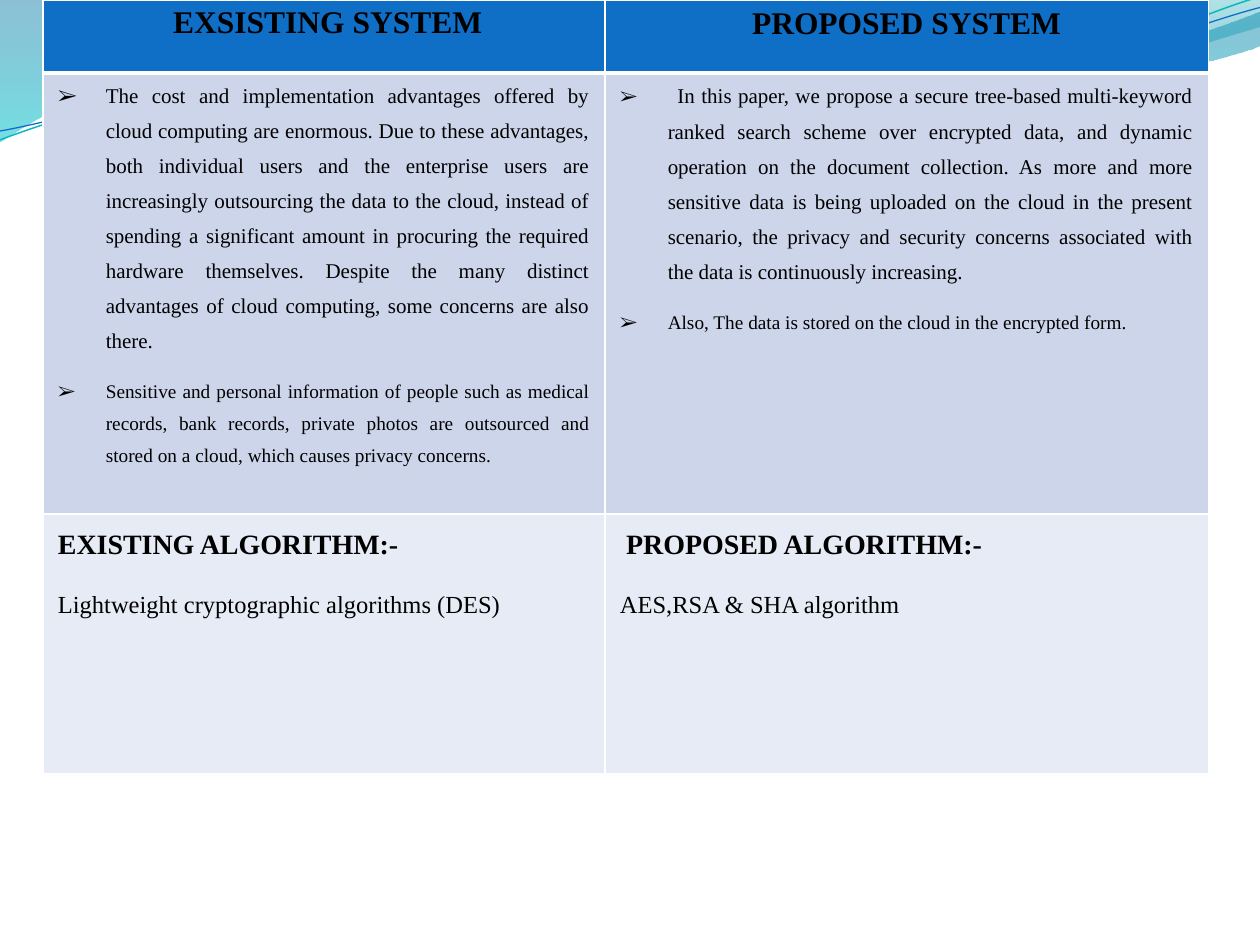
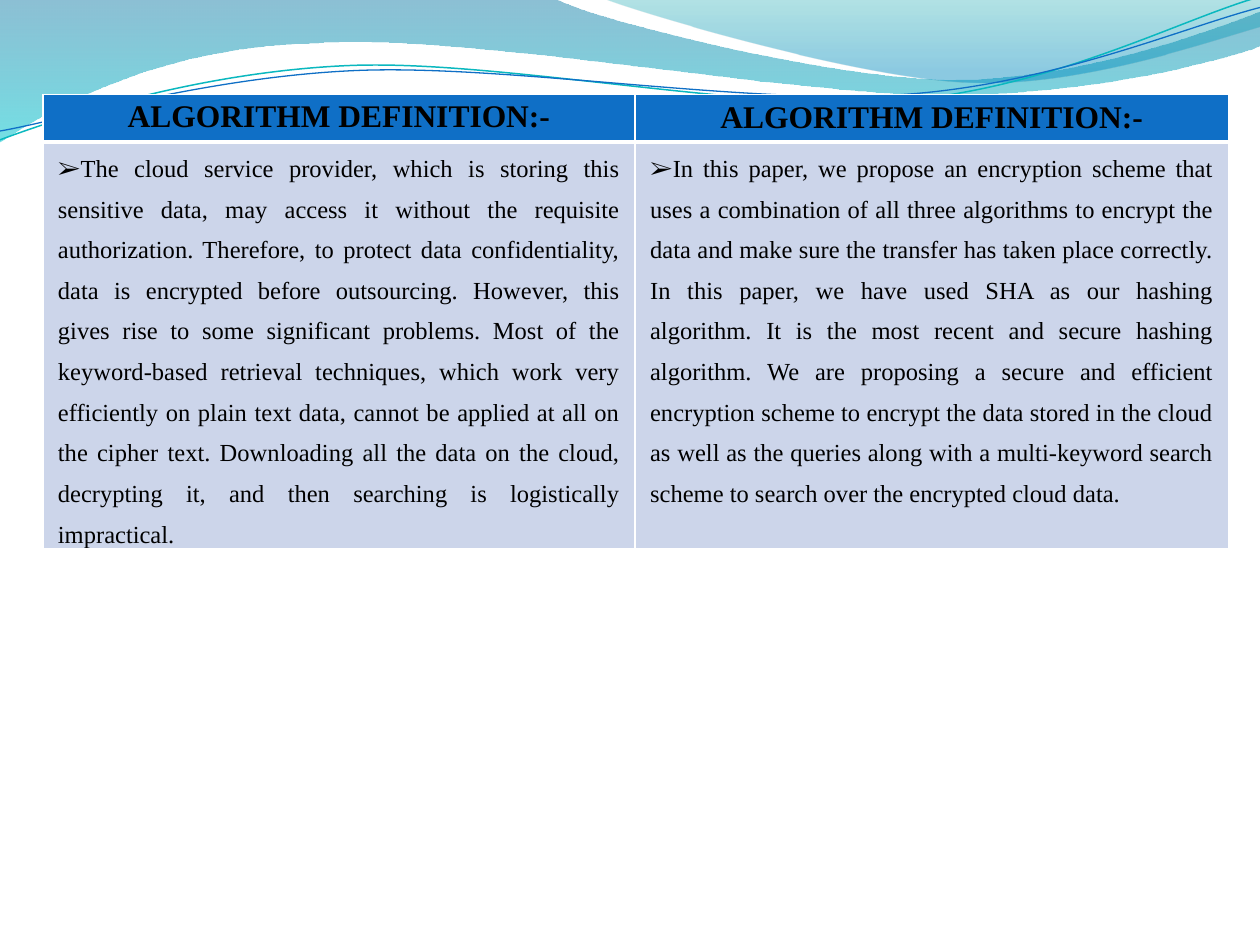
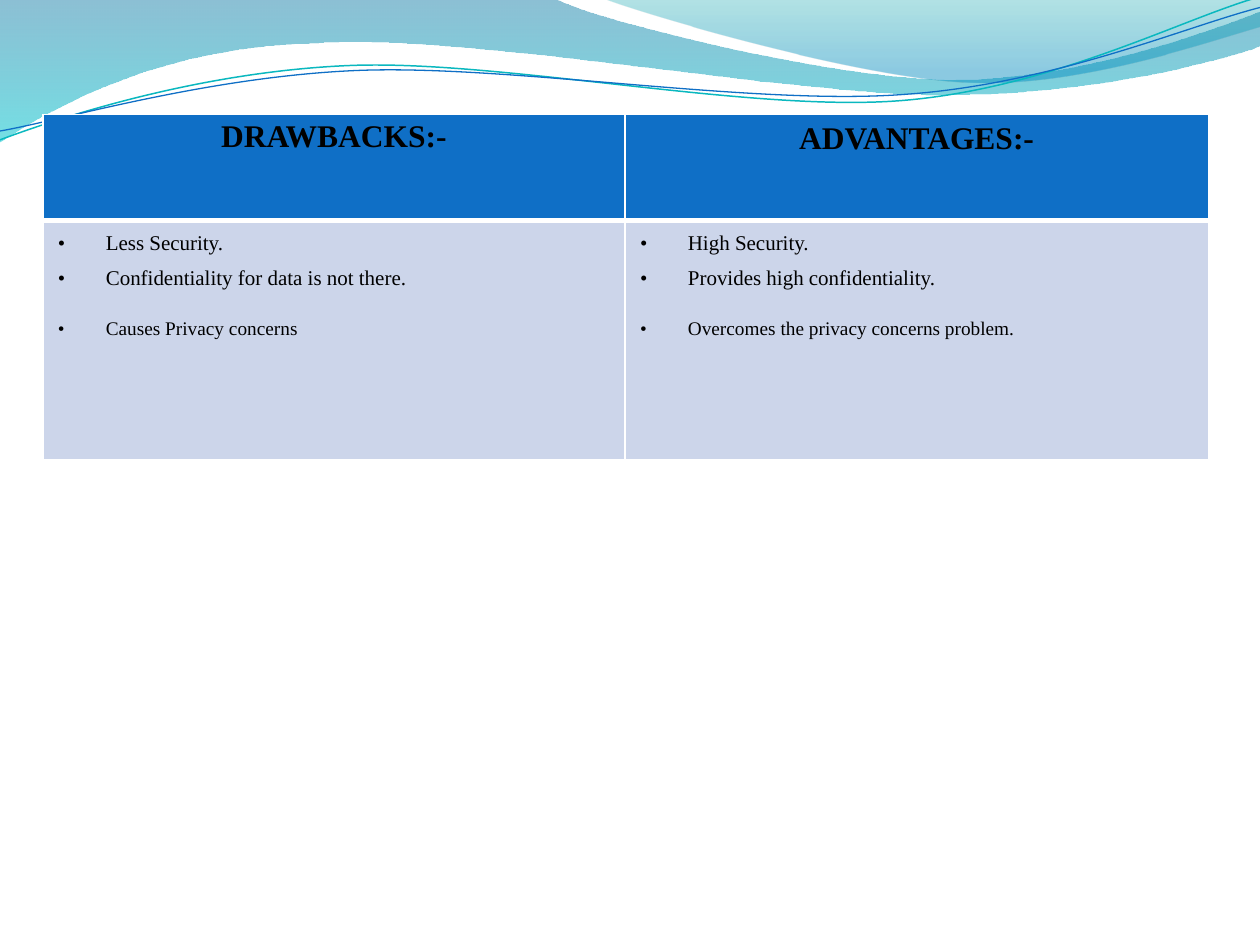
"""Build three slides that compare an existing and a proposed cloud search system."""
import math
from dataclasses import dataclass, field

from pptx import Presentation
from pptx import util as u
from pptx.dml import color as c
from pptx.enum import text as t
from pptx.oxml import ns, xmlchemy as x


@dataclass(frozen=True)
class Theme:
    """Colours, fonts and sizes that all slides share."""
    font: str = "Times New Roman"
    lead_font: str = "Calibri"
    ink: str = "000000"
    border: str = "FFFFFF"
    header: str = "0F6FC6"
    rows: tuple = ("0F6FC6", "CCD5EA", "E7EBF5")
    wave_line: str = "0AB8BF"
    wave_low: tuple = ((0, "0074A1", 45), (1, "00C6CF", 55))
    wave_high: tuple = ((0, "00A1A9", 30), (0.8, "008BBF", 45))
    sizes: dict = field(default_factory=lambda: {
        "header": 18, "heading": 16, "large": 14, "body": 12, "small": 11})
    thin: int = 1
    thick: int = 3


THEME = Theme()
LEFT, CENTER, JUSTIFY = t.PP_ALIGN.LEFT, t.PP_ALIGN.CENTER, t.PP_ALIGN.JUSTIFY
ARROW, DOT = "\u27a2", "\u2022"
HANGING = (0.38, -0.38)
TILT = -2.7

LOW_WAVE = ((0, 0), [
    ((4.4, -0.01),),
    ((4.76, 0.17), (6.64, 0.63), (7.58, 0.63)),
    ((8.53, 0.63), (9.58, 0.26), (10, 0.09)),
    ((10.01, 0.36),),
    ((9.83, 0.44), (8.7, 0.76), (7.46, 0.75)),
    ((6.22, 0.75), (3.82, 0.28), (2.57, 0.34)),
    ((1.29, 0.36), (0.46, 0.83), (-0.01, 1.13))])
HIGH_WAVE = ((4.79, -0.01), [
    ((5.09, 0.11), (6.82, 0.62), (7.69, 0.65)),
    ((8.56, 0.69), (9.61, 0.32), (10, 0.21)),
    ((10, 0),)])
TEAL_LINE = ((0, 1.11), [
    ((0.48, 0.93), (1.58, 0.57), (2.77, 0.52)),
    ((3.95, 0.47), (5.93, 0.89), (7.13, 0.8)),
    ((8.33, 0.71), (9.38, 0.15), (9.98, -0.02))])
BLUE_LINE = ((0, 1.04), [
    ((0.47, 0.96), (1.64, 0.61), (2.83, 0.56)),
    ((4.03, 0.51), (5.97, 0.84), (7.17, 0.75)),
    ((8.36, 0.67), (9.41, 0.21), (10, 0.06))])


def apply(target, values):
    """Set each attribute of the target from a dict of format values."""
    for name, value in values.items():
        setattr(target, name, value)


def rgb(value):
    """Return a colour object for a hexadecimal string."""
    return c.RGBColor.from_string(value)


def add_child(parent, tag, **attributes):
    """Append a drawing element with attributes and return it."""
    child = x.OxmlElement(tag)
    for name, value in attributes.items():
        child.set(name, str(value))
    parent.append(child)
    return child


def turn(node, pivot, degrees):
    """Turn a point clockwise around a pivot."""
    angle = math.radians(degrees)
    across, down = node[0] - pivot[0], node[1] - pivot[1]
    return (pivot[0] + across * math.cos(angle) - down * math.sin(angle),
            pivot[1] + across * math.sin(angle) + down * math.cos(angle))


def bend(shape, segments):
    """Turn each group of three straight steps into one cubic curve."""
    steps = iter(list(shape.element.iter(ns.qn("a:lnTo"))))
    for segment in segments:
        group = [next(steps) for _ in segment]
        if len(group) == 3:
            curve = x.OxmlElement("a:cubicBezTo")
            group[0].addprevious(curve)
            for step in group:
                curve.append(step[0])
                step.getparent().remove(step)


def add_outline(slide, outline, close):
    """Add a curved freeform without a shadow."""
    start, segments = outline
    nodes = [node for segment in segments for node in segment]
    builder = slide.shapes.build_freeform(*(u.Inches(value) for value in start))
    builder.add_line_segments(
        [(u.Inches(across), u.Inches(down)) for across, down in nodes], close=close)
    shape = builder.convert_to_shape()
    bend(shape, segments)
    shape.shadow.inherit = False
    return shape


def add_wave(slide, outline, stops):
    """Add a wave with a transparent downward gradient."""
    shape = add_outline(slide, outline, True)
    shape.line.fill.background()
    shape.fill.gradient()
    shape.fill.gradient_angle = 270
    for stop, (position, colour, _) in zip(shape.fill.gradient_stops, stops):
        stop.position = position
        stop.color.rgb = rgb(colour)
    colours = shape.element.spPr.iter(ns.qn("a:srgbClr"))
    for element, (_, _, opacity) in zip(list(colours), stops):
        add_child(element, "a:alpha", val=opacity * 1000)
    return shape


def add_wave_line(slide, outline, pivot, colour, width):
    """Add an open curve in a tilted frame."""
    start, segments = outline
    level = [tuple(turn(node, pivot, -TILT) for node in segment) for segment in segments]
    shape = add_outline(slide, (turn(start, pivot, -TILT), level), False)
    shape.rotation = TILT
    shape.fill.background()
    shape.line.color.rgb = rgb(colour)
    shape.line.width = u.Pt(width)
    return shape


def decorate_master(presentation, slide):
    """Draw the waves and move them to the master that all slides share."""
    waves = [
        add_wave(slide, LOW_WAVE, THEME.wave_low),
        add_wave(slide, HIGH_WAVE, THEME.wave_high),
        add_wave_line(slide, TEAL_LINE, (4.99, 0.58), THEME.wave_line, 0.85),
        add_wave_line(slide, BLUE_LINE, (5, 0.59), THEME.header, 0.75)]
    for wave in waves:
        presentation.slide_master.shapes.element.append(wave.element)


def text(content, size="body", bold=False, bullet=None, indent=(0, 0),
         alignment=JUSTIFY, line_spacing=1.5, after=10, lead=None):
    """Describe one paragraph of a cell."""
    return {
        "content": content, "bullet": bullet, "indent": indent, "lead": lead,
        "font": {"name": THEME.font, "size": u.Pt(THEME.sizes[size]), "bold": bold},
        "layout": {"alignment": alignment, "line_spacing": line_spacing,
                   "space_after": u.Pt(after)}}


def header(content, line_spacing=1.15, after=10):
    """Describe a header paragraph."""
    return text(content, "header", True, alignment=CENTER,
                line_spacing=line_spacing, after=after)


def headers(first, second):
    """Describe the two header cells of a table."""
    return [[header(first)], [header(second, 1.0, 0)]]


def point(content, size="body", bullet=ARROW, after=10, lead=None):
    """Describe a hanging bullet point."""
    return text(content, size, bullet=bullet, indent=HANGING, after=after, lead=lead)


def dots(first, second, third):
    """Describe a cell of three dotted points."""
    return [point(first, bullet=DOT, after=0), point(second, bullet=DOT),
            point(third, "small", DOT)]


def add_run(paragraph, content, font):
    """Add a run of formatted text."""
    run = paragraph.add_run()
    run.text = content
    run.font.color.rgb = rgb(THEME.ink)
    apply(run.font, font)


def write_paragraph(paragraph, description):
    """Fill and format one paragraph."""
    if description["lead"]:
        add_run(paragraph, description["lead"], {
            "name": THEME.lead_font, "size": u.Pt(THEME.sizes["small"]), "bold": False})
    add_run(paragraph, description["content"], description["font"])
    apply(paragraph, description["layout"])
    properties = paragraph._p.get_or_add_pPr()
    for name, value in zip(("marL", "indent"), description["indent"]):
        properties.set(name, str(u.Inches(value)))
    if description["bullet"]:
        add_child(properties, "a:buFont", typeface=THEME.font)
        add_child(properties, "a:buChar", char=description["bullet"])


def add_borders(cell, row):
    """Give a cell white borders, thick between header and body."""
    edges = {"L": THEME.thin, "R": THEME.thin,
             "T": THEME.thick if row == 1 else THEME.thin,
             "B": THEME.thick if row == 0 else THEME.thin}
    properties = cell._tc.get_or_add_tcPr()
    for side, width in edges.items():
        line = add_child(properties, f"a:ln{side}", w=u.Pt(width))
        add_child(add_child(line, "a:solidFill"), "a:srgbClr", val=THEME.border)


def fill_cell(cell, row, column, paragraphs):
    """Format a cell and write its paragraphs."""
    add_borders(cell, row)
    cell.fill.solid()
    cell.fill.fore_color.rgb = rgb(THEME.rows[row])
    side, edge = (0.1, 0.05) if (row, column) == (0, 1) else (0.12, 0)
    apply(cell, {"margin_left": u.Inches(side), "margin_right": u.Inches(side),
                 "margin_top": u.Inches(edge), "margin_bottom": u.Inches(edge),
                 "vertical_anchor": t.MSO_ANCHOR.TOP})
    frame = cell.text_frame
    for index, description in enumerate(paragraphs):
        paragraph = frame.add_paragraph() if index else frame.paragraphs[0]
        write_paragraph(paragraph, description)


def add_comparison(slide, top, widths, heights, cells):
    """Add a two-column comparison table."""
    shape = slide.shapes.add_table(
        len(heights), len(widths), u.Inches(0.34), u.Inches(top),
        u.Inches(sum(widths)), u.Inches(sum(heights)))
    table = shape.table
    table.horz_banding = False
    for column, width in zip(table.columns, widths):
        column.width = u.Inches(width)
    for row, height in zip(table.rows, heights):
        row.height = u.Inches(height)
    for row, contents in enumerate(cells):
        for column, paragraphs in enumerate(contents):
            fill_cell(table.cell(row, column), row, column, paragraphs)


def build_systems(slide):
    """Compare the two systems and their algorithms."""
    existing = [
        point("The cost and implementation advantages offered by cloud computing are enormous. "
              "Due to these advantages, both individual users and the enterprise users are "
              "increasingly outsourcing the data to the cloud, instead of spending a significant "
              "amount in procuring the required hardware themselves. Despite the many distinct "
              "advantages of cloud computing, some concerns are also there."),
        point("Sensitive and personal information of people such as medical records, bank "
              "records, private photos are outsourced and stored on a cloud, which causes "
              "privacy concerns.", "small")]
    proposed = [
        point("In this paper, we propose a secure tree-based multi-keyword ranked search scheme "
              "over encrypted data, and dynamic operation on the document collection. As more "
              "and more sensitive data is being uploaded on the cloud in the present scenario, "
              "the privacy and security concerns associated with the data is continuously "
              "increasing.", lead="\u2002"),
        point("Also, The data is stored on the cloud in the encrypted form.", "small")]
    algorithms = [
        [text("EXISTING ALGORITHM:-", "heading", True),
         text("Lightweight cryptographic algorithms (DES)", "large")],
        [text("PROPOSED ALGORITHM:-", "heading", True, indent=(0.05, 0)),
         text("AES,RSA & SHA algorithm", "large", alignment=LEFT)]]
    add_comparison(slide, 0, (4.46, 4.79), (0.58, 3.5, 2.06), [
        headers("\u00a0EXSISTING SYSTEM", "PROPOSED SYSTEM"), [existing, proposed], algorithms])


def build_definitions(slide):
    """Define the two algorithms."""
    existing = (
        "The cloud service provider, which is storing this sensitive data, may access it without "
        "the requisite authorization. Therefore, to protect data confidentiality, data is "
        "encrypted before outsourcing. However, this gives rise to some significant problems. "
        "Most of the keyword-based retrieval techniques, which work very efficiently on plain "
        "text data, cannot be applied at all on the cipher text. Downloading all the data on the "
        "cloud, decrypting it, and then searching is logistically impractical.")
    proposed = (
        "In this paper, we propose an encryption scheme that uses a combination of all three "
        "algorithms to encrypt the data and make sure the transfer has taken place correctly. In "
        "this paper, we have used SHA as our hashing algorithm. It is the most recent and secure "
        "hashing algorithm. We are proposing a secure and efficient encryption scheme to encrypt "
        "the data stored in the cloud as well as the queries along with a multi-keyword search "
        "scheme to search over the encrypted cloud data.")
    title = "ALGORITHM DEFINITION:-"
    add_comparison(slide, 0.75, (4.7, 4.71), (0.2, 2.54), [
        headers(title, title),
        [[text(content, "large", bullet=ARROW)] for content in (existing, proposed)]])


def build_outcomes(slide):
    """Set the drawbacks against the advantages."""
    add_comparison(slide, 0.91, (4.62, 4.63), (0.84, 1.9), [
        headers("DRAWBACKS:-", "ADVANTAGES:-"),
        [dots("Less Security.", "Confidentiality for data is not there.",
              "Causes Privacy concerns"),
         dots("High Security.", "Provides high confidentiality.",
              "Overcomes the privacy concerns problem.")]])


def main():
    """Build and save the presentation."""
    presentation = Presentation()
    apply(presentation, {"slide_width": u.Inches(10), "slide_height": u.Inches(7.5)})
    blank = presentation.slide_layouts.get_by_name("Blank")
    builders = (build_systems, build_definitions, build_outcomes)
    slides = [presentation.slides.add_slide(blank) for _ in builders]
    decorate_master(presentation, slides[0])
    for build, slide in zip(builders, slides):
        build(slide)
    presentation.save("out.pptx")


main()
